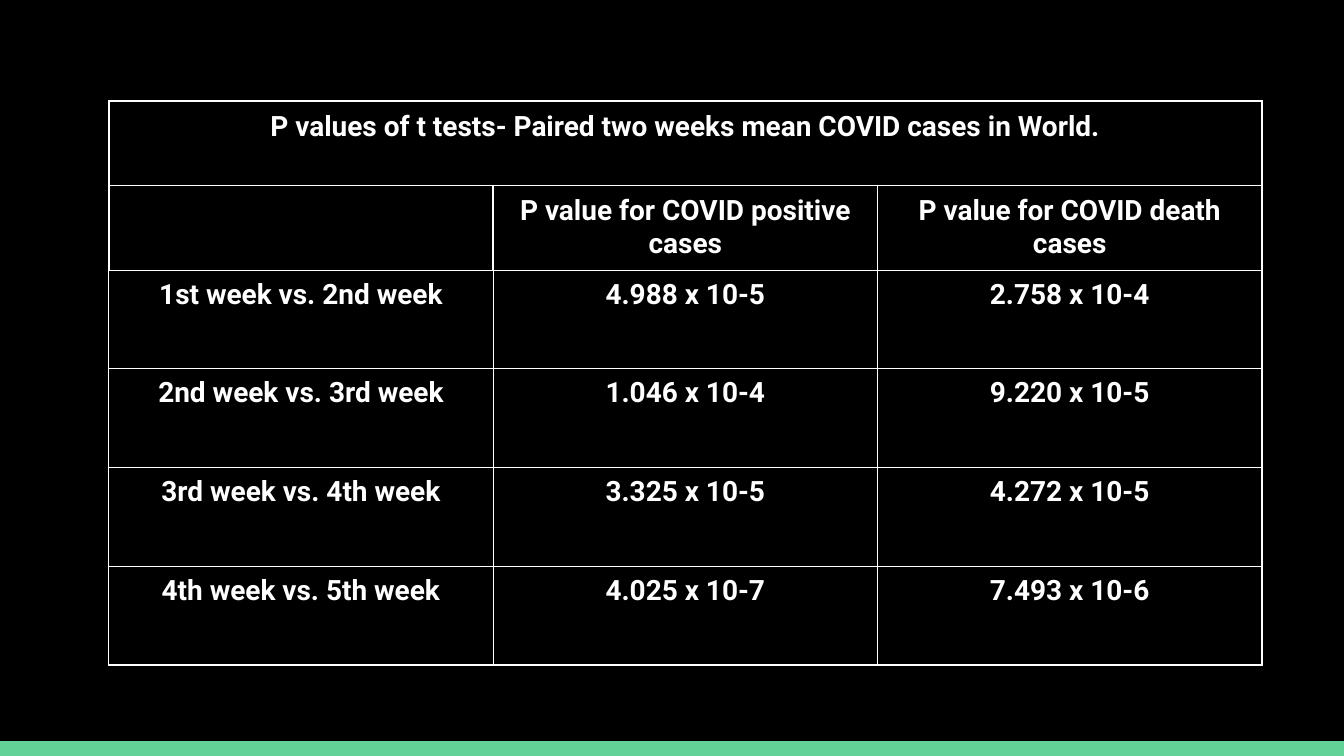
from lxml.etree import SubElement
from pptx import Presentation
from pptx.dml.color import RGBColor
from pptx.enum.shapes import MSO_SHAPE
from pptx.enum.text import PP_ALIGN
from pptx.oxml.ns import qn
from pptx.util import Inches, Pt

BLACK, WHITE, GREEN = "000000", "FFFFFF", "63D297"
SLIDE_WIDTH = Inches(10)
SLIDE_HEIGHT = SLIDE_WIDTH * 9 // 16
BAR_HEIGHT = Inches(0.11)
TABLE_TITLE = "P values of t tests- Paired two weeks mean COVID cases in World."
ROWS = [
    (TABLE_TITLE, "", ""),
    ("", "P value for COVID positive cases", "P value for COVID death cases"),
    ("1st week vs. 2nd week", "4.988 x 10-5", "2.758 x 10-4"),
    ("2nd week vs. 3rd week", "1.046 x 10-4", "9.220 x 10-5"),
    ("3rd week vs. 4th week", "3.325 x 10-5", "4.272 x 10-5"),
    ("4th week vs. 5th week", "4.025 x 10-7", "7.493 x 10-6"),
]
HEADER_ROWS = 2
COLUMN_WIDTH, HEADER_HEIGHT = Inches(2.86), Inches(0.63)
WEEK_HEIGHT = Inches(2.94) // (len(ROWS) - HEADER_ROWS)


def set_fill(fill, color):
    """Give a fill one solid colour."""
    fill.solid()
    fill.fore_color.rgb = RGBColor.from_string(color)


def add_border(cell, side, width):
    """Draw one white side (L, R, T or B) of a cell."""
    line = SubElement(cell._tc.get_or_add_tcPr(), qn(f"a:ln{side}"), w=str(Pt(width)))
    solid = SubElement(line, qn("a:solidFill"))
    SubElement(solid, qn("a:srgbClr"), val=WHITE)


def format_cell(cell, text, row):
    """Write and style one cell according to its row."""
    is_header = row < HEADER_ROWS
    for side in "LRTB":
        is_thick = row == 0 or (is_header and side != "B")
        add_border(cell, side, 1 if is_thick else 0.75)
    cell.fill.background()
    inset = Inches(0.07 if is_header else 0.06)
    cell.margin_left = cell.margin_right = inset
    cell.margin_top = cell.margin_bottom = inset
    cell.text = text
    paragraph = cell.text_frame.paragraphs[0]
    paragraph.alignment = PP_ALIGN.CENTER
    paragraph.space_after = Pt(0 if is_header else 15)
    font = paragraph.font
    font.name, font.size, font.bold = "Roboto", Pt(15), True
    font.color.rgb = RGBColor.from_string(WHITE)


def add_bottom_bar(slide):
    """Add the green bar along the lower edge."""
    bar = slide.shapes.add_shape(
        MSO_SHAPE.RECTANGLE, 0, SLIDE_HEIGHT - BAR_HEIGHT, SLIDE_WIDTH, BAR_HEIGHT)
    bar.shadow.inherit = False
    set_fill(bar.fill, GREEN)
    bar.line.fill.background()


def add_p_value_table(slide):
    """Add the table of p values with its merged title row."""
    heights = [HEADER_HEIGHT if row < HEADER_ROWS else WEEK_HEIGHT
               for row in range(len(ROWS))]
    column_count = len(ROWS[0])
    table = slide.shapes.add_table(
        len(ROWS), column_count, Inches(0.81), Inches(0.75),
        COLUMN_WIDTH * column_count, sum(heights)).table
    table.first_row = table.horz_banding = False
    for column in table.columns:
        column.width = COLUMN_WIDTH
    for row, (height, texts) in enumerate(zip(heights, ROWS)):
        table.rows[row].height = height
        for column, text in enumerate(texts):
            format_cell(table.cell(row, column), text, row)
    table.cell(0, 0).merge(table.cell(0, column_count - 1))


def main():
    """Build and save the slide."""
    presentation = Presentation()
    presentation.slide_width = SLIDE_WIDTH
    presentation.slide_height = SLIDE_HEIGHT
    slide = presentation.slides.add_slide(presentation.slide_layouts[6])
    set_fill(slide.background.fill, BLACK)
    add_bottom_bar(slide)
    add_p_value_table(slide)
    presentation.save("out.pptx")


if __name__ == "__main__":
    main()
